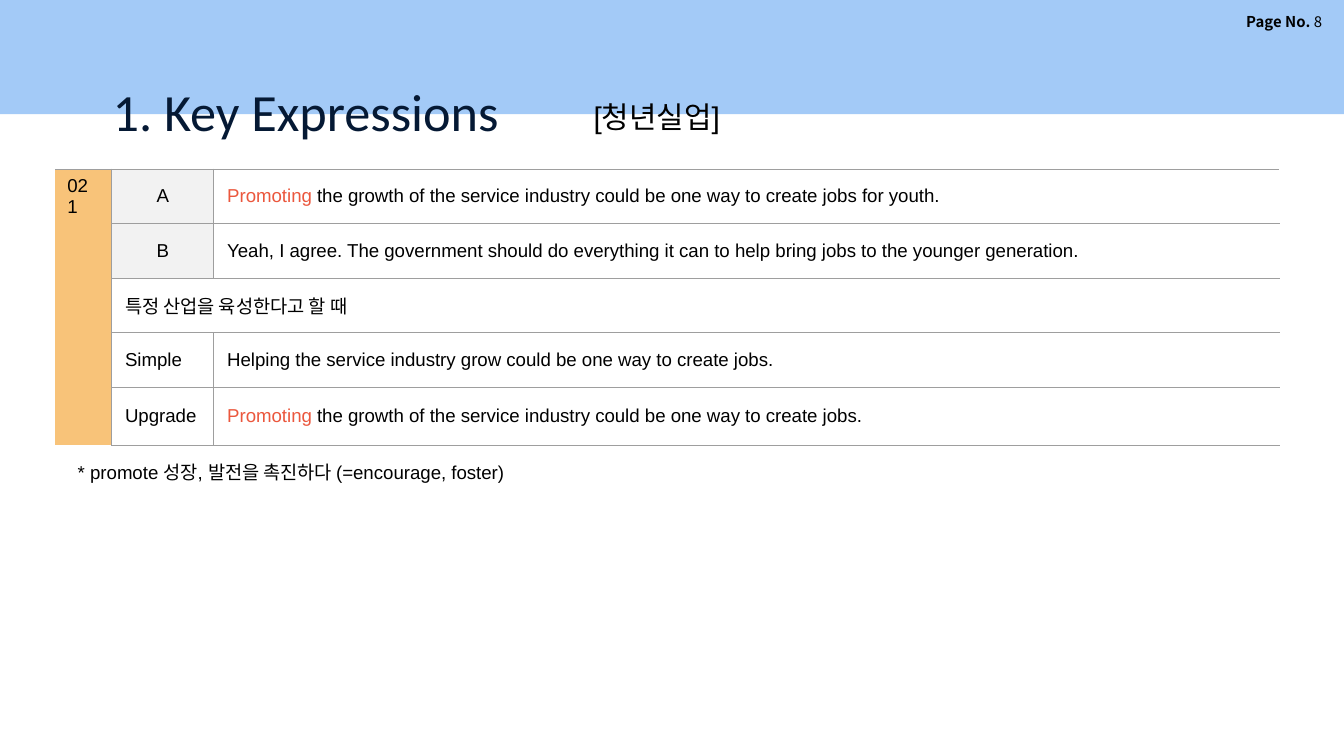
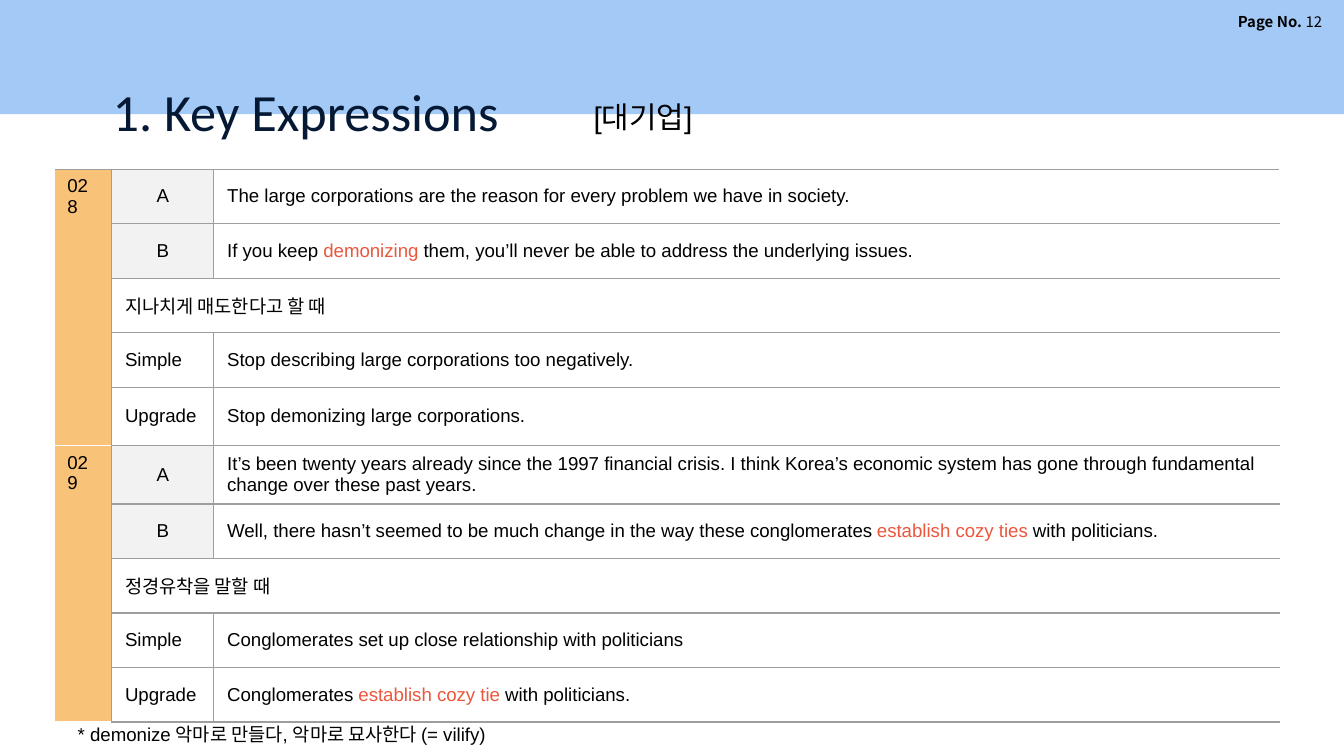
from lxml import etree
from pptx import Presentation
from pptx.dml.color import RGBColor
from pptx.enum.shapes import MSO_SHAPE
from pptx.enum.text import MSO_ANCHOR, PP_ALIGN
from pptx.oxml.ns import qn
from pptx.util import Cm, Pt

RECTANGLE = MSO_SHAPE.RECTANGLE
TOP, MIDDLE = MSO_ANCHOR.TOP, MSO_ANCHOR.MIDDLE
LEFT, CENTER, RIGHT = PP_ALIGN.LEFT, PP_ALIGN.CENTER, PP_ALIGN.RIGHT

BAND, NAVY, BLACK, WHITE = "A3CAF7", "051934", "000000", "FFFFFF"
ORANGE, PALE, RULE, ACCENT = "F8C379", "F2F2F2", "9E9E9E", "EB573D"
BODY = "Arial"
WIDTH, HEIGHT, BAND_HEIGHT = 25.4, 14.29, 2.16
TABLE_LEFT, TABLE_TOP = 1.02, 3.2
COLUMNS = (1.09, 1.93, 20.14)
ROW_HEIGHT = 1.03
LABELS = ("A", "B", None, "Simple", "Upgrade")

PAGES = [
    {
        "number": "8",
        "topic": "[청년실업]",
        "expressions": [
            ("021", [
                "|Promoting| the growth of the service industry could be one way to create jobs for youth.",
                "Yeah, I agree. The government should do everything it can to help bring jobs "
                "to the younger generation.",
                "특정 산업을 육성한다고 할 때",
                "Helping the service industry grow could be one way to create jobs.",
                "|Promoting| the growth of the service industry could be one way to create jobs.",
            ]),
        ],
        "footnote": "* promote 성장, 발전을 촉진하다 (=encourage, foster)",
        "gap": 0.24,
    },
    {
        "number": "12",
        "topic": "[대기업]",
        "expressions": [
            ("028", [
                "The large corporations are the reason for every problem we have in society.",
                "If you keep |demonizing| them, you’ll never be able to address the underlying issues.",
                "지나치게 매도한다고 할 때",
                "Stop describing large corporations too negatively.",
                "Stop demonizing large corporations.",
            ]),
            ("029", [
                "It’s been twenty years already since the 1997 financial crisis. I think Korea’s economic "
                "system has gone through fundamental change over these past years.",
                "Well, there hasn’t seemed to be much change in the way these conglomerates "
                "|establish cozy ties |with politicians.",
                "정경유착을 말할 때",
                "Conglomerates set up close relationship with politicians",
                "Conglomerates |establish cozy tie |with politicians.",
            ]),
        ],
        "footnote": "* demonize 악마로 만들다, 악마로 묘사한다 (= vilify)",
        "gap": 0.04,
    },
]


def rgb(color):
    """Turn a hex string into a colour."""
    return RGBColor.from_string(color)


def style(paragraph, size, font=BODY, color=BLACK, align=LEFT):
    """Set the font and alignment of a whole paragraph."""
    paragraph.alignment = align
    paragraph.font.size = Pt(size)
    paragraph.font.name = font
    paragraph.font.color.rgb = rgb(color)


def write_accented(paragraph, text):
    """Write text, colouring the parts between bars."""
    for index, part in enumerate(text.split("|")):
        if part:
            run = paragraph.add_run()
            run.text = part
            if index % 2:
                run.font.color.rgb = rgb(ACCENT)


def add_line(slide, box, text, size, inset=(0.25, 0.13), **look):
    """Add a one-paragraph text box and return its paragraph."""
    frame = slide.shapes.add_textbox(*map(Cm, box)).text_frame
    frame.word_wrap = True
    frame.margin_left = frame.margin_right = Cm(inset[0])
    frame.margin_top = frame.margin_bottom = Cm(inset[1])
    paragraph = frame.paragraphs[0]
    paragraph.text = text
    style(paragraph, size, **look)
    return paragraph


def add_header(slide, box, number, topic):
    """Draw the band with the page number, title and topic."""
    left, top, width, height = box
    band = slide.shapes.add_shape(RECTANGLE, *map(Cm, box))
    band.shadow.inherit = False
    band.fill.solid()
    band.fill.fore_color.rgb = rgb(BAND)
    band.line.fill.background()
    page = add_line(slide, (left + width - 3.86, top + 0.1, 3.68, 0.58), "Page No. ", 8,
                    inset=(0.23, 0.13), font="Noto Sans CJK KR", align=RIGHT)
    page.runs[0].font.bold = True
    page.add_run().text = number
    add_line(slide, (left + 1.88, top + 1.24, 9.09, 1.6), "1. Key Expressions", 28,
             inset=(0.25, 0.25), font="Calibri", color=NAVY)
    add_line(slide, (left + 10.97, top + 1.73, 4.06, 0.94), topic, 16)


def set_borders(cell, **edges):
    """Draw the named cell edges, each given as a colour and a width."""
    properties = cell._tc.get_or_add_tcPr()
    drawn = [edge for edge in "LRTB" if edge in edges]
    for index, edge in enumerate(drawn):
        color, points = edges[edge]
        line = etree.Element(qn(f"a:ln{edge}"), w=str(Pt(points)))
        fill = etree.SubElement(line, qn("a:solidFill"))
        etree.SubElement(fill, qn("a:srgbClr"), val=color)
        properties.insert(index, line)


def fill_cell(cell, text, fill=None, align=LEFT, anchor=MIDDLE):
    """Write one cell and set its background."""
    paragraph = cell.text_frame.paragraphs[0]
    write_accented(paragraph, text)
    style(paragraph, 10, align=align)
    cell.vertical_anchor = anchor
    if fill:
        cell.fill.solid()
        cell.fill.fore_color.rgb = rgb(fill)
    else:
        cell.fill.background()


def add_expression(table, first, number, sentences):
    """Fill the five rows of one numbered expression."""
    rule, edge = (RULE, 0.75), (WHITE, 1)
    last = first + len(LABELS) - 1
    for row, (label, sentence) in enumerate(zip(LABELS, sentences), first):
        number_cell, label_cell, sentence_cell = (table.cell(row, column) for column in range(3))
        fill_cell(number_cell, number if row == first else "", ORANGE, anchor=TOP)
        ends = {"T": rule} if row == first else {"B": rule} if row == last else {}
        set_borders(number_cell, L=edge, R=rule, **ends)
        if label:
            speaker = len(label) == 1
            fill_cell(label_cell, label, PALE if speaker else None, CENTER if speaker else LEFT)
            fill_cell(sentence_cell, sentence)
            set_borders(label_cell, L=rule, R=rule, T=rule, B=rule)
            set_borders(sentence_cell, L=rule, R=edge, T=rule, B=rule)
        else:
            fill_cell(label_cell, sentence)
            fill_cell(sentence_cell, "")
            set_borders(label_cell, L=rule, T=rule, B=rule)
            set_borders(sentence_cell, R=edge, T=rule, B=rule)
            label_cell.merge(sentence_cell)
    table.cell(first, 0).merge(table.cell(last, 0))


def add_expressions(slide, left, top, expressions, footnote, gap):
    """Build the expression table with its footnote below."""
    rows = len(expressions) * len(LABELS)
    height = rows * ROW_HEIGHT
    table = slide.shapes.add_table(rows, len(COLUMNS), Cm(left), Cm(top),
                                   Cm(sum(COLUMNS)), Cm(height)).table
    table.first_row = table.horz_banding = False
    for column, width in zip(table.columns, COLUMNS):
        column.width = Cm(width)
    for row in table.rows:
        row.height = Cm(ROW_HEIGHT)
    for index, (number, sentences) in enumerate(expressions):
        add_expression(table, index * len(LABELS), number, sentences)
    add_line(slide, (left + 0.2, top + height + gap, 9.55, 0.69), footnote, 10)


def main():
    """Build the deck."""
    deck = Presentation()
    deck.slide_width, deck.slide_height = Cm(WIDTH), Cm(HEIGHT)
    for page in PAGES:
        slide = deck.slides.add_slide(deck.slide_layouts[6])
        add_header(slide, (0, 0, WIDTH, BAND_HEIGHT), page["number"], page["topic"])
        add_expressions(slide, TABLE_LEFT, TABLE_TOP, page["expressions"],
                        page["footnote"], page["gap"])
    deck.save("out.pptx")


if __name__ == "__main__":
    main()
